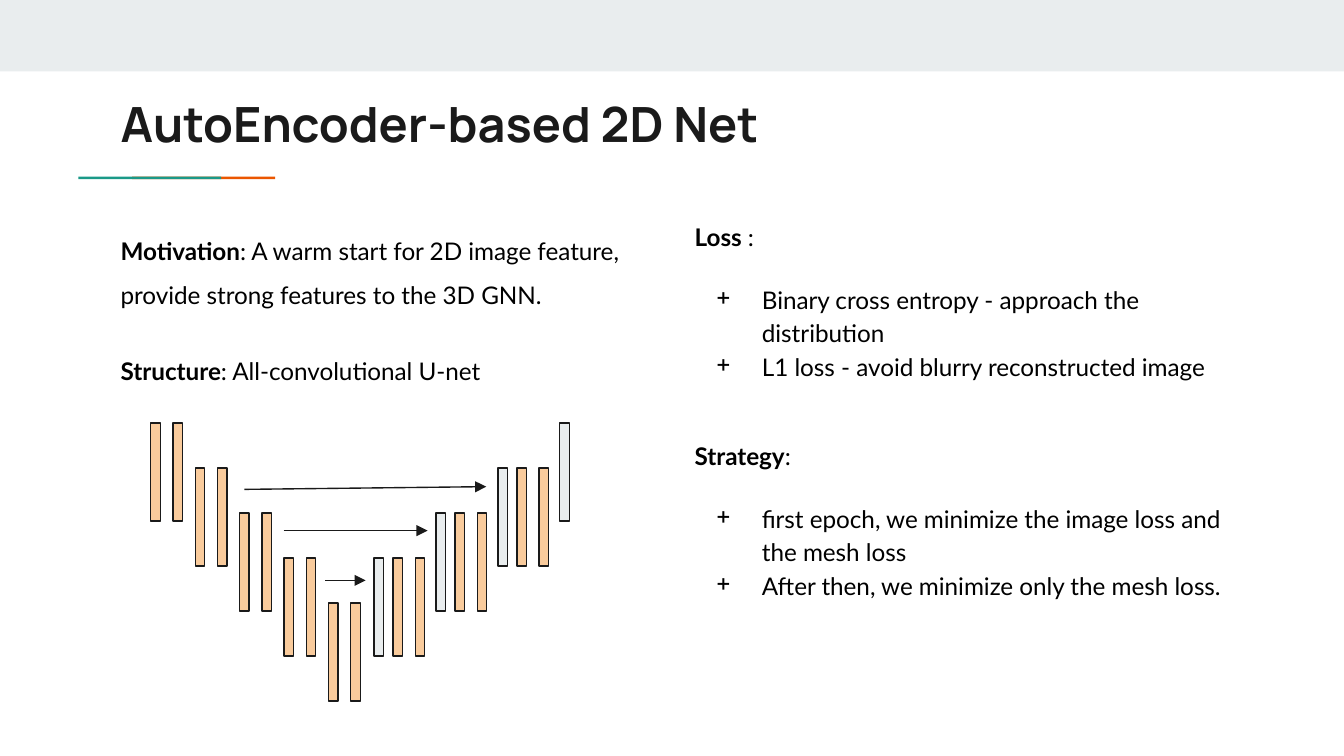
import pptx
import pptx.util
import pptx.dml.color
import pptx.enum.shapes
import pptx.enum.text
import pptx.oxml
import pptx.oxml.ns
from pptx.util import Cm

COLOURS = {"band": "E9EDEE", "orange": "EB5600", "teal": "1A9988",
           "ink": "1A1A1A", "text": "000000", "conv": "F9CB9C", "skip": "E9EDEE"}


def rgb(name):
    return pptx.dml.color.RGBColor.from_string(COLOURS[name])


def child(parent, tag, **attributes):
    element = pptx.oxml.parse_xml(f"<{tag} {pptx.oxml.ns.nsdecls('a')}/>")
    for key, value in attributes.items():
        element.set(key, value)
    parent.append(element)
    return element


def write(p, text, bold=False, size=13, font="Lato", colour="text"):
    r = p.add_run()
    r.text = text
    r.font.size = pptx.util.Pt(size)
    r.font.name = font
    r.font.bold = bold
    r.font.color.rgb = rgb(colour)


class Deck:
    """Holds the style and the current slide, with a method per element."""

    def __init__(self, width, height):
        self.prs = pptx.Presentation()
        self.prs.slide_width, self.prs.slide_height = Cm(width), Cm(height)
        self.s = self.prs.slides.add_slide(self.prs.slide_layouts[6])

    def rect(self, x, y, w, h, fill, outlined=False):
        sp = self.s.shapes.add_shape(pptx.enum.shapes.MSO_SHAPE.RECTANGLE,
                                     Cm(x), Cm(y), Cm(w), Cm(h))
        sp.shadow.inherit = False
        sp.fill.solid()
        sp.fill.fore_color.rgb = rgb(fill)
        if outlined:
            sp.line.color.rgb = rgb("ink")
            sp.line.width = pptx.util.Pt(0.75)
        else:
            sp.line.fill.background()

    def bar(self, x, row, fill):
        self.rect(x, 8 + 0.85 * row, 0.18, 1.85, fill, outlined=True)

    def arrow(self, x1, y1, x2, y2):
        line = self.s.shapes.add_connector(pptx.enum.shapes.MSO_CONNECTOR.STRAIGHT,
                                           Cm(x1), Cm(y1), Cm(x2), Cm(y2))
        line.line.color.rgb = rgb("ink")
        line.line.width = pptx.util.Pt(0.75)
        child(line.line._get_or_add_ln(), "a:tailEnd", type="triangle")
        child(line._element.spPr, "a:effectLst")

    def box(self, x, y, w, h):
        tf = self.s.shapes.add_textbox(Cm(x), Cm(y), Cm(w), Cm(h)).text_frame
        tf.word_wrap = True
        tf.vertical_anchor = pptx.enum.text.MSO_ANCHOR.TOP
        tf.margin_left = tf.margin_right = tf.margin_top = tf.margin_bottom = Cm(0.25)
        return tf

    def title(self, x, y, w, h, text):
        p = self.box(x, y, w, h).paragraphs[0]
        write(p, text, bold=True, size=26, font="Manrope", colour="ink")

    def section(self, x, y, w, h, heading, rest, bullets=(), spacing=1.5):
        tf = self.box(x, y, w, h)
        p = tf.paragraphs[0]
        p.line_spacing = spacing
        write(p, heading, bold=True)
        write(p, rest)
        for i, text in enumerate(bullets):
            p = tf.add_paragraph()
            p.line_spacing = spacing
            p.space_before = pptx.util.Pt(0 if i else 16)
            pPr = p._p.get_or_add_pPr()
            pPr.set("marL", str(Cm(1.27)))
            pPr.set("indent", str(Cm(-0.86)))
            child(child(pPr, "a:buClr"), "a:srgbClr", val=COLOURS["text"])
            child(pPr, "a:buChar", char="+")
            write(p, text)


def main():
    deck = Deck(25.4, 14.29)
    deck.rect(0, 0, 25.4, 1.35, "band")
    deck.rect(2.5, 3.34, 2.7, 0.05, "orange")
    deck.rect(1.48, 3.34, 2.7, 0.05, "teal")
    deck.title(2.03, 1.52, 21.36, 1.5, "AutoEncoder-based 2D Net")
    deck.section(2.03, 3.94, 10.49, 1.93, "Motivation",
                 ": A warm start for 2D image feature, provide strong features to the 3D GNN.")
    deck.section(2.03, 6.2, 8.33, 1.5, "Structure", ": All-convolutional U-net")
    deck.section(12.88, 3.86, 10.49, 3.73, "Loss", " :",
                 ["Binary cross entropy - approach the distribution",
                  "L1 loss - avoid blurry reconstructed image"], spacing=1.15)
    deck.section(12.88, 8, 10.62, 5.8, "Strategy", ":",
                 ["first epoch, we minimize the image loss and the mesh loss",
                  "After then, we minimize only the mesh loss."], spacing=1.15)

    for i in range(10):
        deck.bar(2.85 + 0.42 * i, i // 2, "conv")
    for row in range(4):
        x = 7.07 + 1.17 * (3 - row)
        deck.bar(x, row, "skip")
        if row:
            deck.bar(x + 0.36, row, "conv")
            deck.bar(x + 0.78, row, "conv")

    for ends in [(6.15, 10.97, 6.91, 10.97), (5.36, 10.03, 8.08, 10.03),
                 (4.62, 9.25, 9.19, 9.2)]:
        deck.arrow(*ends)
    deck.prs.save("out.pptx")


if __name__ == "__main__":
    main()
